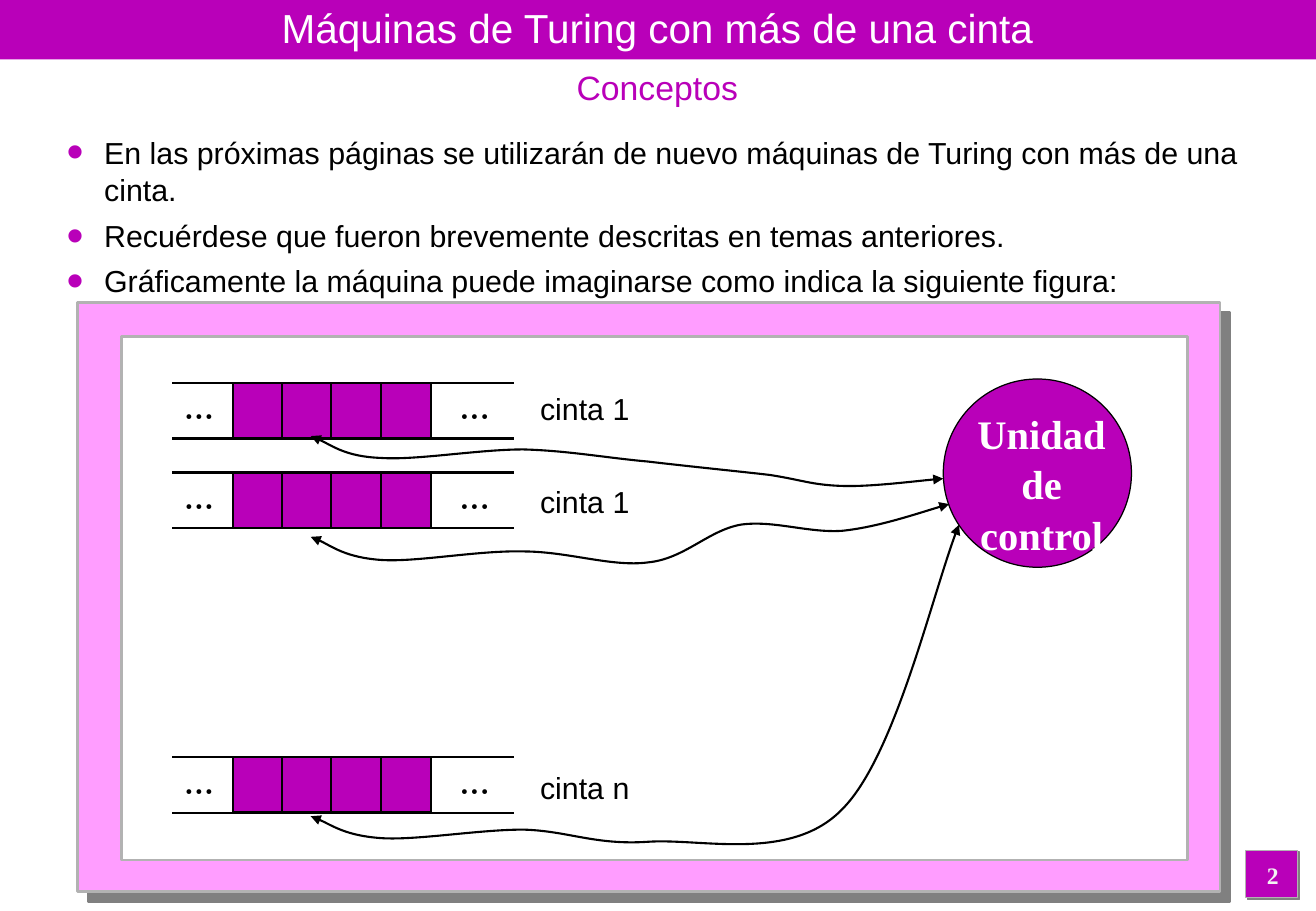
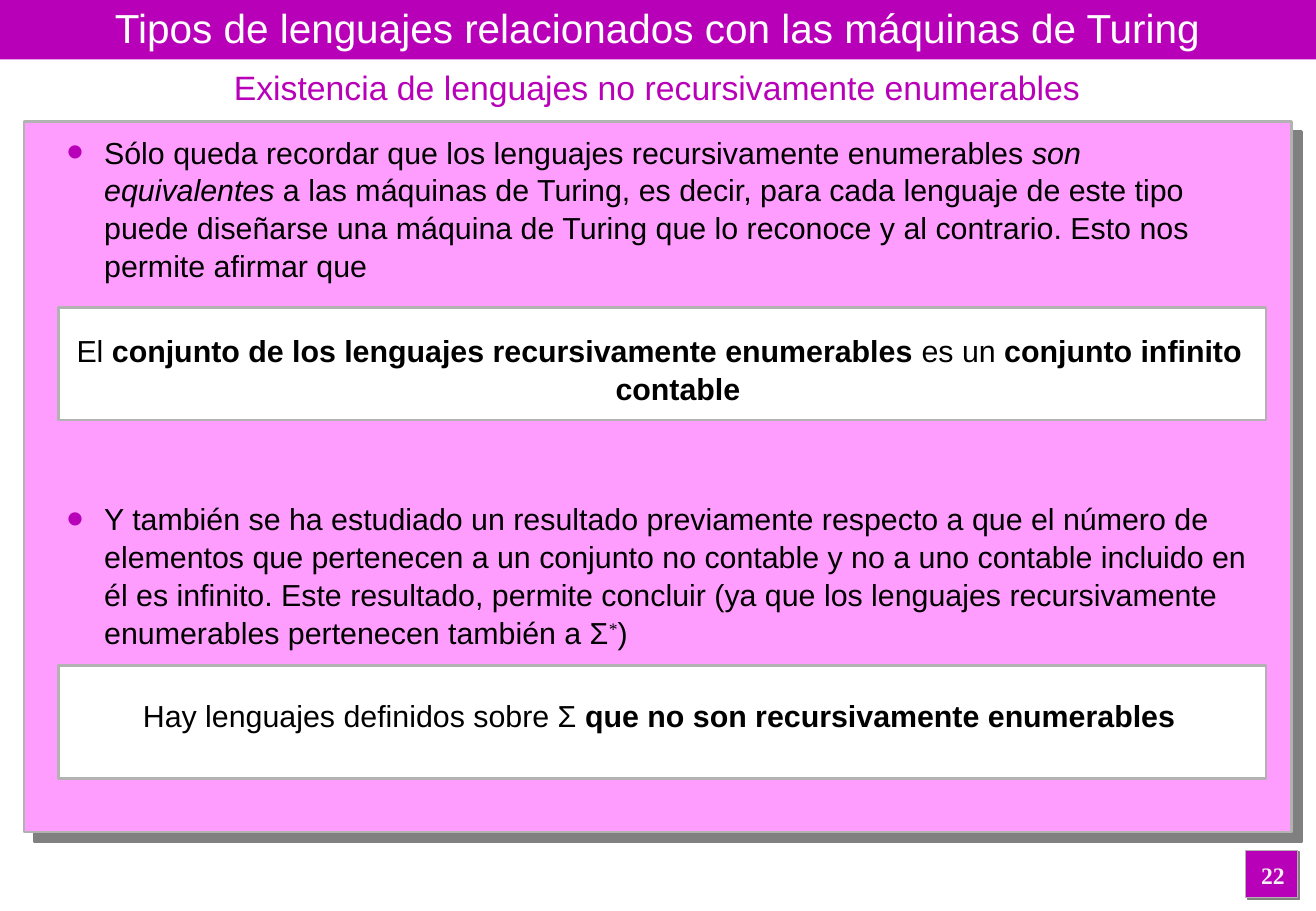
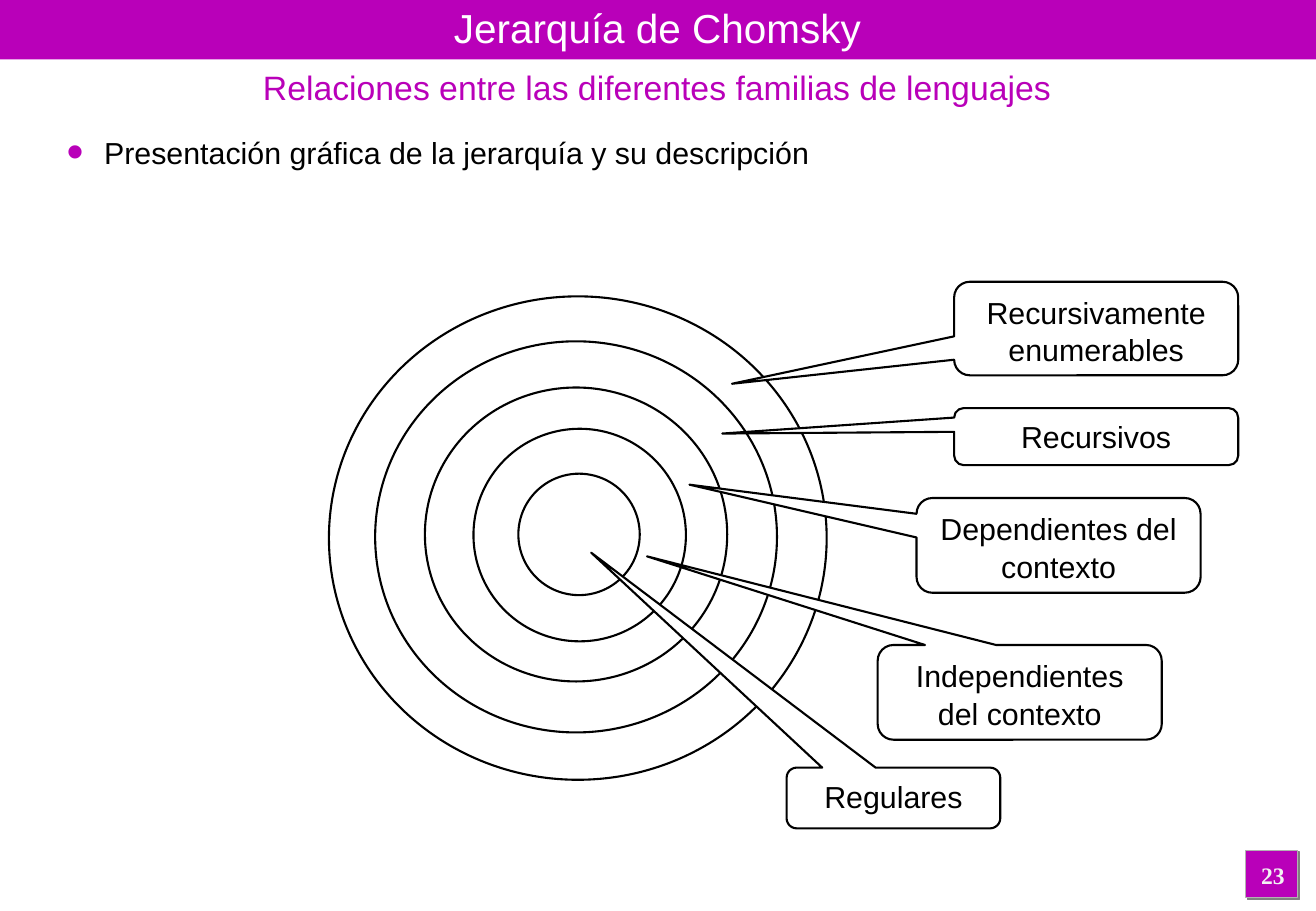
import pptx
import pptx.util
import pptx.dml.color
import pptx.enum.shapes
import pptx.enum.text
import pptx.oxml.ns
import lxml.etree

PX = 9144
Pt = pptx.util.Pt
RGBColor = pptx.dml.color.RGBColor
KIND = pptx.enum.shapes.MSO_SHAPE
LINK = pptx.enum.shapes.MSO_CONNECTOR
ALIGN = pptx.enum.text.PP_ALIGN
ANCHOR = pptx.enum.text.MSO_ANCHOR
FIT = pptx.enum.text.MSO_AUTO_SIZE
qn = pptx.oxml.ns.qn
sub = lxml.etree.SubElement

PURPLE = RGBColor(0xB9, 0x00, 0xB9)
PINK = RGBColor(0xFF, 0x9D, 0xFF)
WHITE = RGBColor(0xFF, 0xFF, 0xFF)
BLACK = RGBColor(0x00, 0x00, 0x00)
GRAY = RGBColor(0xB2, 0xB2, 0xB2)
SHADE = RGBColor(0x80, 0x80, 0x80)
PALE = RGBColor(0xF2, 0xF2, 0xF2)

HEAD = {"name": "Arial", "size": Pt(24), "color": WHITE}
SUBHEAD = {"name": "Arial", "size": Pt(20), "color": PURPLE}
BODY = {"name": "Arial", "size": Pt(18), "color": BLACK}
DOTS = {"name": "Times New Roman", "size": Pt(24), "color": BLACK, "italic": True}
UNIT = {"name": "Times New Roman", "size": Pt(24), "color": WHITE, "bold": True}
PAGE = {"name": "Times New Roman", "size": Pt(14), "color": PALE, "bold": True}
BOLD = {"bold": True}
ITALIC = {"italic": True}
RAISED = {"name": "Times New Roman", "raise": "30000"}
FRAME = {"margin_left": 10 * PX, "margin_right": 10 * PX,
         "margin_top": 5 * PX, "margin_bottom": 5 * PX,
         "word_wrap": True, "auto_size": FIT.NONE, "vertical_anchor": ANCHOR.TOP}


def draw(slide, kind, at, fill=None, edge=None, wide=1.25, drop=0):
    shape = slide.shapes.add_shape(kind, *[n * PX for n in at])
    shape.shadow.inherit = False
    if fill is None:
        shape.fill.background()
    else:
        shape.fill.solid()
        shape.fill.fore_color.rgb = fill
    if edge is None:
        shape.line.fill.background()
    else:
        shape.line.color.rgb = edge
        shape.line.width = Pt(wide)
    if drop:
        glow = sub(shape._element.spPr.find(qn("a:effectLst")), qn("a:outerShdw"),
                   dist=str(Pt(drop)), dir="2700000", algn="ctr", rotWithShape="0")
        sub(glow, qn("a:srgbClr"), val=str(SHADE))
    return shape


def write(slide, at, paras, style, align=ALIGN.CENTER, hang=False, dot=False, shape=None, **more):
    if shape is None:
        shape = slide.shapes.add_textbox(*[n * PX for n in at])
    frame = shape.text_frame
    for key, val in {**FRAME, **more}.items():
        setattr(frame, key, val)
    for i, runs in enumerate(paras):
        para = frame.add_paragraph() if i else frame.paragraphs[0]
        look = {"alignment": align, "line_spacing": 1.04, "space_before": Pt(4.5 if i else 0)}
        for key, val in look.items():
            setattr(para, key, val)
        props = para._p.get_or_add_pPr()
        if hang:
            props.set("marL", str(31 * PX))
            props.set("indent", str(-31 * PX))
        if dot:
            tint = sub(props, qn("a:buClr"))
            sub(tint, qn("a:srgbClr"), val=str(PURPLE))
            sub(props, qn("a:buSzPct"), val="160000")
            sub(props, qn("a:buFont"), typeface="Arial")
            sub(props, qn("a:buChar"), char="•")
        for text, extra in [(runs, {})] if isinstance(runs, str) else runs:
            run = para.add_run()
            run.text = text
            for key, val in {**style, **extra}.items():
                if key == "color":
                    run.font.color.rgb = val
                elif key == "raise":
                    run._r.get_or_add_rPr().set("baseline", val)
                else:
                    setattr(run.font, key, val)
    return shape


deck = pptx.Presentation()
deck.slide_width = 1084 * PX
deck.slide_height = 750 * PX
layout = deck.slide_layouts[5]

slides = []
for title, topic, page in [
    ("Máquinas de Turing con más de una cinta", "Conceptos", "2"),
    ("Tipos de lenguajes relacionados con las máquinas de Turing",
     "Existencia de lenguajes no recursivamente enumerables", "22"),
    ("Jerarquía de Chomsky", "Relaciones entre las diferentes familias de lenguajes", "23"),
]:
    slide = deck.slides.add_slide(layout)
    head = slide.shapes.title
    for key, val in {"left": 0, "top": 0, "width": 1083 * PX, "height": 44 * PX}.items():
        setattr(head, key, val)
    write(slide, None, [title], HEAD, shape=head, vertical_anchor=ANCHOR.MIDDLE)
    write(slide, (0, 49, 1083, 44), [topic], SUBHEAD)
    write(slide, (1022, 703, 53, 35), [page], PAGE)
    slides.append(slide)
tapes, langs, rings = slides

band = draw(tapes, KIND.RECTANGLE, (0, 0, 1085, 49), PURPLE)
badge = draw(tapes, KIND.RECTANGLE, (1026, 700, 43, 39), PURPLE, GRAY, 0.75, 1.4)
for i, part in enumerate([band, badge]):
    part._element.nvSpPr.cNvPr.set("id", str(20 + i))
    layout.shapes._spTree.insert(2 + i, part._element)

write(tapes, (45, 104, 996, 143), [
    "En las próximas páginas se utilizarán de nuevo máquinas de Turing con más de una cinta.",
    "Recuérdese que fueron brevemente descritas en temas anteriores.",
    "Gráficamente la máquina puede imaginarse como indica la siguiente figura:",
], BODY, ALIGN.LEFT, hang=True, dot=True)
draw(tapes, KIND.RECTANGLE, (64, 249, 941, 485), PINK, GRAY, 1.5, 8.5)
draw(tapes, KIND.RECTANGLE, (100, 277, 878, 431), WHITE, GRAY, 1.5)
draw(tapes, KIND.OVAL, (777, 312, 155, 155), PURPLE, BLACK, 0.75)
write(tapes, (785, 330, 146, 130), ["Unidad de control"], UNIT)

for top, low, name in [(315, 315, "cinta 1"), (389, 392, "cinta 1"), (623, 627, "cinta n")]:
    for i in range(4):
        draw(tapes, KIND.RECTANGLE, (192 + i * 122 // 3, top, 41, 46), PURPLE, BLACK)
    for left in (141, 368):
        write(tapes, (left, top, 45, 50), ["···"], DOTS, word_wrap=False)
    for y in (top, top + 46):
        rail = tapes.shapes.add_connector(LINK.STRAIGHT, 142 * PX, y * PX, 423 * PX, y * PX)
        rail.line.color.rgb = BLACK
        rail.line.width = Pt(1.25)
        sub(rail._element.spPr, qn("a:effectLst"))
    write(tapes, (435, low, 101, 40), [name], BODY, ALIGN.LEFT)

for start, *bends in [
    [(256, 359), (266, 362), (285, 376), (314, 377), (343, 379), (394, 370), (431, 370),
     (468, 371), (500, 377), (534, 380), (568, 384), (608, 388), (634, 391),
     (660, 395), (668, 399), (692, 400), (715, 401), (763, 395), (777, 394)],
    [(256, 442), (266, 445), (285, 459), (314, 461), (343, 463), (394, 453), (431, 454),
     (468, 454), (504, 467), (534, 463), (564, 460), (583, 437), (610, 432),
     (637, 428), (666, 439), (694, 437), (723, 434), (764, 420), (782, 415)],
    [(256, 672), (266, 675), (285, 688), (314, 690), (343, 692), (394, 683), (431, 683),
     (468, 684), (490, 696), (534, 693), (578, 690), (652, 710), (694, 666),
     (737, 623), (770, 481), (790, 432)],
]:
    pen = tapes.shapes.build_freeform(*start, scale=PX)
    pen.add_line_segments(bends, close=False)
    curve = pen.convert_to_shape()
    curve.shadow.inherit = False
    curve.fill.background()
    curve.line.color.rgb = BLACK
    curve.line.width = Pt(1.25)
    for end in ("a:headEnd", "a:tailEnd"):
        sub(curve.line._get_or_add_ln(), qn(end), type="triangle")
    trace = next(curve._element.iter(qn("a:path")))
    steps = trace.findall(qn("a:lnTo"))
    for i in range(0, len(steps), 3):
        bend = sub(trace, qn("a:cubicBezTo"))
        for step in steps[i:i + 3]:
            bend.append(step[0])
            trace.remove(step)

draw(langs, KIND.RECTANGLE, (20, 100, 1044, 585), PINK, GRAY, 1.5, 8.5)
for top, runs in [
    (104, [("Sólo queda recordar que los lenguajes recursivamente enumerables ", {}),
           ("son equivalentes", ITALIC),
           (" a las máquinas de Turing, es decir, para cada lenguaje de este tipo puede "
            "diseñarse una máquina de Turing que lo reconoce y al contrario. Esto nos "
            "permite afirmar que", {})]),
    (406, [("Y también se ha estudiado un resultado previamente respecto a que el número de "
            "elementos que pertenecen a un conjunto no contable y no a uno contable incluido "
            "en él es infinito. Este resultado, permite concluir (ya que los lenguajes "
            "recursivamente enumerables pertenecen también a Σ", {}),
           ("*", RAISED), (")", {})]),
]:
    write(langs, (45, top, 996, 135), [runs], BODY, ALIGN.LEFT, hang=True, dot=True)
for top, pad, runs in [
    (253, 19, [("El ", {}), ("conjunto de los lenguajes recursivamente enumerables ", BOLD),
               ("es un ", {}), ("conjunto infinito contable", BOLD)]),
    (548, 25, [("Hay lenguajes definidos sobre Σ ", {}),
               ("que no son recursivamente enumerables", BOLD)]),
]:
    card = draw(langs, KIND.RECTANGLE, (48, top, 995, 93), WHITE, GRAY, 1.5)
    write(langs, None, [runs], BODY, hang=True, shape=card,
          margin_left=7 * PX, margin_right=12 * PX, margin_top=pad * PX)

write(rings, (45, 104, 996, 40), ["Presentación gráfica de la jerarquía y su descripción"],
      BODY, ALIGN.LEFT, hang=True, dot=True)
for at in [(427, 390, 100, 100), (390, 353, 175, 175), (350, 319, 249, 242),
           (309, 281, 331, 322), (271, 244, 410, 398)]:
    draw(rings, KIND.OVAL, at, None, BLACK)
for name, at, tip in [
    ("Regulares", (648, 632, 176, 50), (487, 455)),
    ("Independientes del contexto", (723, 531, 234, 78), (533, 458)),
    ("Dependientes del contexto", (755, 410, 234, 78), (568, 399)),
    ("Recursivos", (786, 336, 234, 47), (595, 357)),
    ("Recursivamente enumerables", (786, 232, 234, 77), (603, 316)),
]:
    note = draw(rings, KIND.ROUNDED_RECTANGULAR_CALLOUT, at, WHITE, BLACK)
    for i in range(2):
        note.adjustments[i] = (tip[i] - at[i]) / at[i + 2] - 0.5
    write(rings, None, [name], BODY, shape=note)

deck.save("out.pptx")
